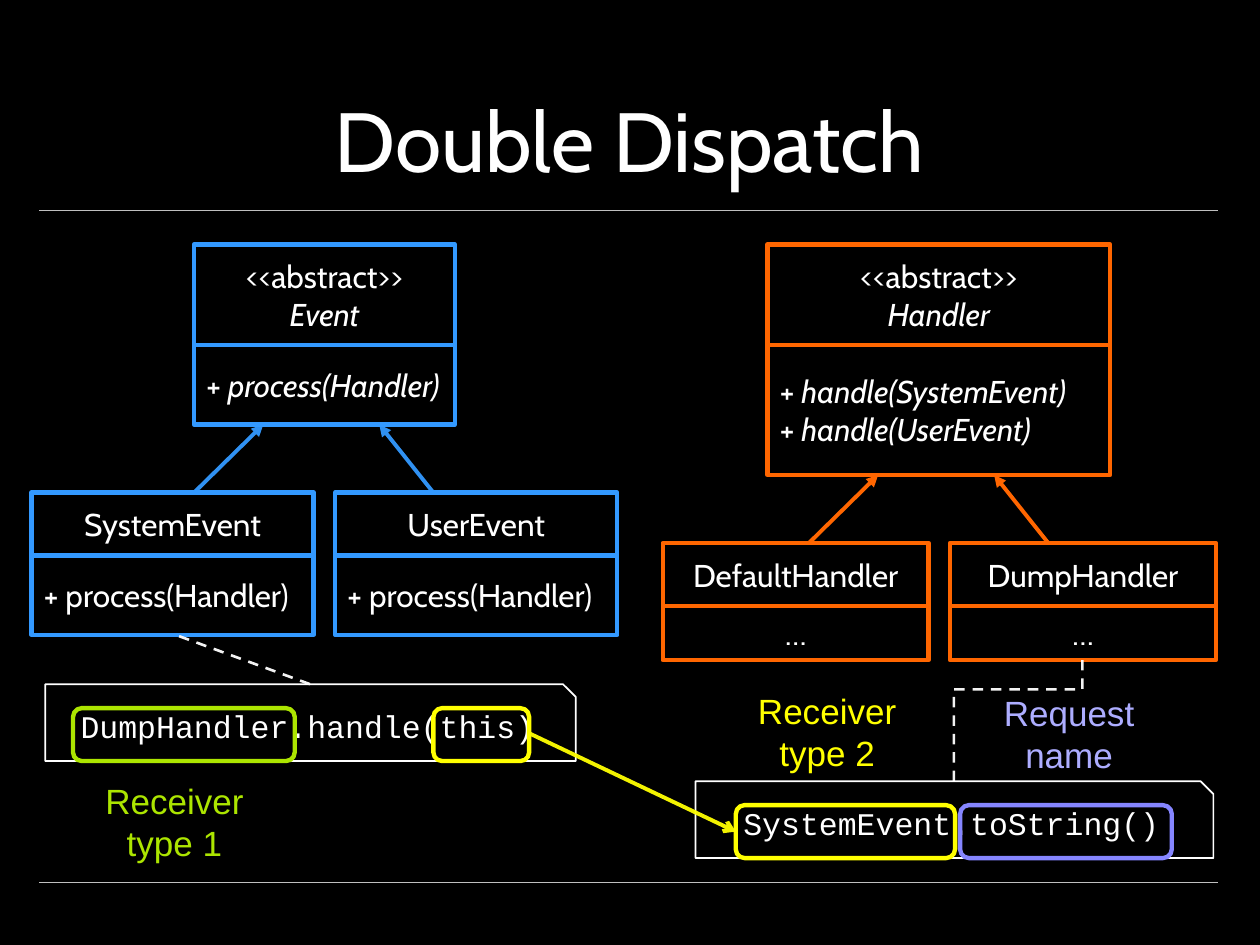
"""Build the Double Dispatch slide: two class hierarchies and the calls that link them."""
from lxml import etree
from pptx import Presentation
from pptx import util as u
from pptx.dml.color import RGBColor
from pptx.enum import dml, shapes, text
from pptx.oxml.ns import qn

THEME = {
    "black": "000000", "white": "FFFFFF", "rule": "BFBFBF",
    "blue": "3399FF", "orange": "FF6600", "green": "ACE500",
    "yellow": "FFFF00", "violet": "8585FF", "lilac": "ADADFF",
    "font": "Cabin", "code_font": "Courier New", "label_font": "Arial",
    "title": 48, "body": 18, "label": 20,
}
SHAPE = shapes.MSO_SHAPE
LEFT, CENTER = text.PP_ALIGN.LEFT, text.PP_ALIGN.CENTER

TITLE = "Double Dispatch"
RULES_Y = [1.67, 7]

# Each line of a class box is (plain part, italic part).
HIERARCHIES = [
    {"color": "orange", "alpha": None,
     "parent": {"x": 6.09, "y": 1.94, "w": 2.72, "heights": (0.8, 1.03),
                "name": [("<<abstract>>", ""), ("", "Handler")],
                "members": [("+ ", "handle(SystemEvent)"), ("+ ", "handle(UserEvent)")]},
     "children": {"x": [5.26, 7.54], "y": 4.31, "w": 2.11, "heights": (0.5, 0.43),
                  "names": ["DefaultHandler", "DumpHandler"],
                  "member": "…", "align": CENTER},
     "arrows": [(6.42, 6.97), (8.32, 7.89)]},
    {"color": "blue", "alpha": 95,
     "parent": {"x": 1.54, "y": 1.94, "w": 2.07, "heights": (0.8, 0.63),
                "name": [("<<abstract>>", ""), ("", "Event")],
                "members": [("+ ", "process(Handler)")]},
     "children": {"x": [0.25, 2.66], "y": 3.91, "w": 2.24, "heights": (0.5, 0.63),
                  "names": ["SystemEvent", "UserEvent"],
                  "member": "+ process(Handler)", "align": LEFT},
     "arrows": [(1.54, 2.09), (3.44, 3.01)]},
]
CODE_NOTES = [
    ("DumpHandler.handle(this)", (0.36, 5.43, 4.21, 0.61)),
    ("SystemEvent.toString()", (5.52, 6.2, 4.11, 0.61)),
]
HIGHLIGHTS = [
    ("green", (0.58, 5.62, 1.76, 0.42)),
    ("violet", (7.62, 6.39, 1.68, 0.42)),
    ("yellow", (3.44, 5.62, 0.76, 0.42)),
    ("yellow", (5.84, 6.39, 1.74, 0.42)),
]
LABELS = [
    ("Receiver type 1", "green", 0.58, 6.14),
    ("Request name", "lilac", 7.68, 5.44),
    ("Receiver type 2", "yellow", 5.76, 5.42),
]


def rgb(name):
    return RGBColor.from_string(THEME[name])


def style(r, font="font", size="body", color="white"):
    r.font.name = THEME[font]
    r.font.size = u.Pt(THEME[size])
    r.font.color.rgb = rgb(color)


def write(tf, lines, align=CENTER, **look):
    tf.word_wrap = True
    for i, parts in enumerate(lines):
        p = tf.add_paragraph() if i else tf.paragraphs[0]
        p.alignment = align
        for part, italic in zip(parts, (False, True)):
            if part:
                r = p.add_run()
                r.text = part
                style(r, **look)
                r.font.italic = italic


def outline(s, kind, box, color, width=2.5):
    sp = s.shapes.add_shape(kind, *map(u.Inches, box))
    sp.shadow.inherit = False
    sp.fill.background()
    sp.line.color.rgb = rgb(color)
    sp.line.width = u.Pt(width)
    sp.text_frame.vertical_anchor = text.MSO_ANCHOR.MIDDLE
    return sp


def connect(s, start, end, color, width, head=None, dash=False, alpha=None,
            kind=shapes.MSO_CONNECTOR.STRAIGHT):
    c = s.shapes.add_connector(kind, *map(u.Inches, start + end))
    c.line.color.rgb = rgb(color)
    c.line.width = u.Pt(width)
    if dash:
        c.line.dash_style = dml.MSO_LINE.DASH
    ln = c.line._get_or_add_ln()
    if alpha:
        clr = ln.find(".//" + qn("a:srgbClr"))
        etree.SubElement(clr, qn("a:alpha"), val=str(alpha * 1000))
    if head:
        etree.SubElement(ln, qn("a:tailEnd"), type=head)
    etree.SubElement(c._element.spPr, qn("a:effectLst"))
    return c


def class_box(s, x, y, w, heights, name, members, color, align=LEFT):
    for h, lines, side in zip(heights, (name, members), (CENTER, align)):
        sp = outline(s, SHAPE.RECTANGLE, (x, y, w, h), color)
        write(sp.text_frame, lines, side)
        y += h


def hierarchy(s, tree):
    parent, kids, color = tree["parent"], tree["children"], tree["color"]
    class_box(s, **parent, color=color)
    for x, name in zip(kids["x"], kids["names"]):
        class_box(s, x, kids["y"], kids["w"], kids["heights"], [(name, "")],
                  [(kids["member"], "")], color, kids["align"])
    bottom = parent["y"] + sum(parent["heights"])
    for x1, x2 in tree["arrows"]:
        connect(s, (x1, kids["y"]), (x2, bottom), color, 2.25, "triangle", alpha=tree["alpha"])


def elbow(s):
    c = connect(s, (8.56, 6.23), (7.6, 5.21), "white", 1.5, dash=True, alpha=95,
                kind=shapes.MSO_CONNECTOR.ELBOW)
    spPr = c._element.spPr
    spPr.find(qn("a:xfrm")).set("rot", "5400000")
    guides = spPr.find(qn("a:prstGeom")).find(qn("a:avLst"))
    etree.SubElement(guides, qn("a:gd"), name="adj1", fmla="val 75900")


def add_title(s):
    sp = s.shapes.title
    sp.left, sp.top, sp.width, sp.height = map(u.Inches, (0.7, 0.12, 8.59, 1.43))
    tf = sp.text_frame
    tf.text = TITLE
    tf.vertical_anchor = text.MSO_ANCHOR.BOTTOM
    tf.paragraphs[0].alignment = CENTER
    style(tf.paragraphs[0].runs[0], size="title")


def main():
    prs = Presentation()
    prs.slide_width, prs.slide_height = u.Inches(10), u.Inches(7.5)
    s = prs.slides.add_slide(prs.slide_layouts[5])
    s.background.fill.solid()
    s.background.fill.fore_color.rgb = rgb("black")
    for y in RULES_Y:
        connect(s, (0.31, y), (9.67, y), "rule", 0.25)
    add_title(s)
    for tree in HIERARCHIES:
        hierarchy(s, tree)
    for code, box in CODE_NOTES:
        sp = outline(s, SHAPE.SNIP_1_RECTANGLE, box, "white", 1)
        write(sp.text_frame, [(code, "")], font="code_font")
    connect(s, (2.46, 5.43), (1.37, 5.03), "white", 1.5, dash=True, alpha=95)
    elbow(s)
    for color, box in HIGHLIGHTS:
        outline(s, SHAPE.ROUNDED_RECTANGLE, box, color)
    for label, color, x, y in LABELS:
        sp = s.shapes.add_textbox(*map(u.Inches, (x, y, 1.61, 0.77)))
        write(sp.text_frame, [(label, "")], font="label_font", size="label", color=color)
    connect(s, (4.2, 5.82), (5.84, 6.6), "yellow", 2.25, "arrow", alpha=95)
    prs.save("out.pptx")


if __name__ == "__main__":
    main()
